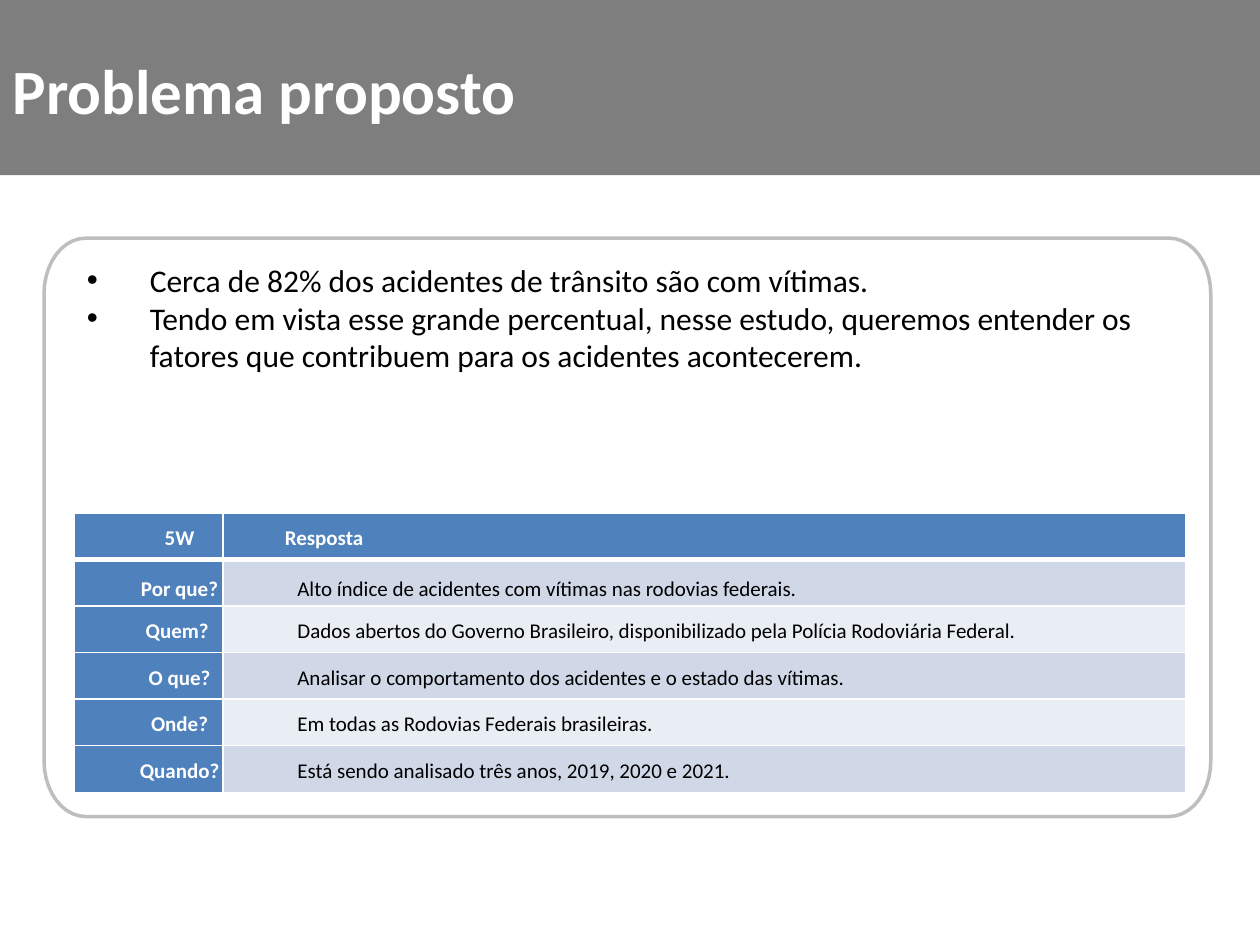
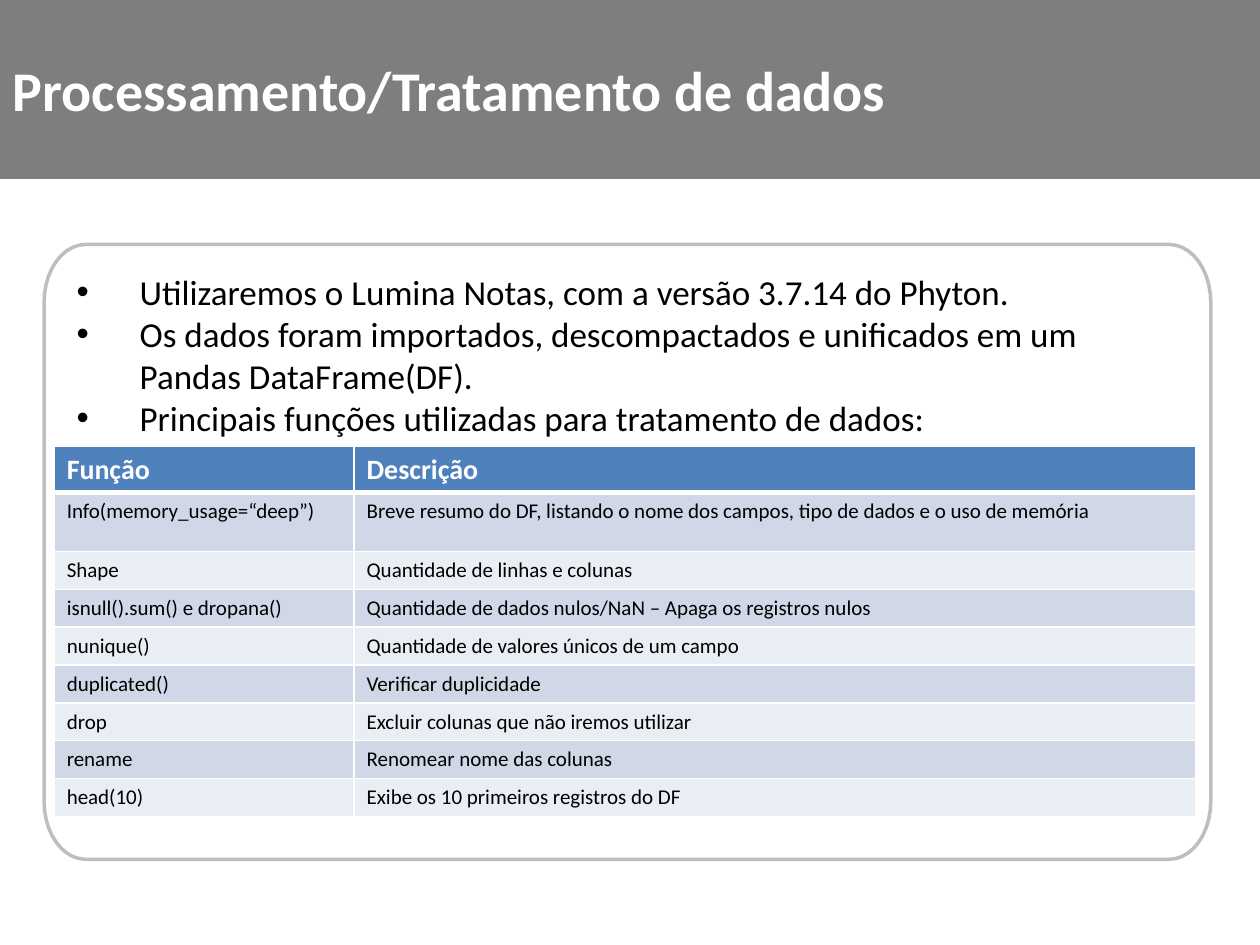
"""Builds two slides on traffic accidents: the 5W problem and the data treatment."""
from dataclasses import dataclass
from math import cos, pi, sin

from pptx import Presentation
from pptx.dml.color import RGBColor
from pptx.enum.shapes import MSO_SHAPE
from pptx.enum.text import MSO_ANCHOR, PP_ALIGN
from pptx.oxml import parse_xml
from pptx.oxml.ns import nsdecls
from pptx.util import Inches, Pt

COLOURS = {
    "band": "7E7E7E",
    "frame": "BEBEBE",
    "white": "FFFFFF",
    "black": "000000",
    "header": "4F81BD",
    "odd_row": "D0D8E8",
    "even_row": "E9EDF4",
}
FONT = "Calibri"
FRAME_LEFT, FRAME_WIDTH = 0.35, 9.26
CORNER_WIDTH, CORNER_STEPS = 0.33, 10


@dataclass(frozen=True)
class Area:
    left: float
    top: float
    width: float
    height: float

    def lengths(self):
        return [Inches(n) for n in (self.left, self.top, self.width, self.height)]


@dataclass(frozen=True)
class Grid:
    left: float
    top: float
    columns: tuple[float, ...]
    heights: tuple[float, ...]
    rows: tuple[tuple[str, str], ...]
    header_size: int
    label_column: bool = False


@dataclass(frozen=True)
class Topic:
    title: str
    title_size: int
    band_height: float
    frame_top: float
    frame_height: float
    corner_height: float
    bullets: tuple[str, ...]
    bullet_size: int
    bullet_area: Area
    grid: Grid


TOPICS = (
    Topic(
        "Problema proposto", 36, 1.39, 1.89, 4.59, 0.44,
        (
            "Cerca de 82% dos acidentes de trânsito são com vítimas.",
            "Tendo em vista esse grande percentual, nesse estudo, queremos entender "
            "os fatores que contribuem para os acidentes acontecerem.",
        ),
        18, Area(0.59, 2.02, 8.82, 1.01),
        Grid(
            0.59, 4.07, (1.18, 7.64), (0.37,) * 6,
            (
                ("5W", "Resposta"),
                ("Por que?", "Alto índice de acidentes com vítimas nas rodovias federais."),
                ("Quem? ", "Dados abertos do Governo Brasileiro, disponibilizado pela "
                           "Polícia Rodoviária Federal."),
                ("O que?", "Analisar o comportamento dos acidentes e o estado das vítimas."),
                ("Onde?", "Em todas as Rodovias Federais brasileiras."),
                ("Quando?", "Está sendo analisado três anos, 2019, 2020 e 2021."),
            ),
            12, label_column=True,
        ),
    ),
    Topic(
        "Processamento/Tratamento de dados", 32, 1.42, 1.94, 4.88, 0.46,
        (
            "Utilizaremos o Lumina Notas, com a versão 3.7.14 do Phyton.",
            "Os dados foram importados, descompactados e unificados em um "
            "Pandas DataFrame(DF).",
            "Principais funções utilizadas para tratamento de dados:",
        ),
        20, Area(0.51, 2.1, 8.98, 1.45),
        Grid(
            0.43, 3.54, (2.38, 6.68), (0.36, 0.47) + (0.3,) * 7,
            (
                ("Função", "Descrição"),
                ("Info(memory_usage=“deep”)", "Breve resumo do DF, listando o nome dos "
                                              "campos, tipo de dados e o uso de memória"),
                ("Shape", "Quantidade de linhas e colunas"),
                ("isnull().sum() e dropana()",
                 "Quantidade de dados nulos/NaN – Apaga os registros nulos"),
                ("nunique()", "Quantidade de valores únicos de um campo"),
                ("duplicated()", "Verificar duplicidade"),
                ("drop", "Excluir colunas que não iremos utilizar"),
                ("rename", "Renomear nome das colunas"),
                ("head(10)", "Exibe os 10 primeiros registros do DF"),
            ),
            16,
        ),
    ),
)


def colour(name: str) -> RGBColor:
    return RGBColor.from_string(COLOURS[name])


def format_para(para, size: int, ink: str, bold: bool = False) -> None:
    for span in para.runs:
        span.font.name = FONT
        span.font.size = Pt(size)
        span.font.bold = bold
        span.font.color.rgb = colour(ink)


def indent_para(para, margin: float, first_line: float) -> None:
    properties = para._p.get_or_add_pPr()
    properties.set("marL", str(Inches(margin)))
    properties.set("indent", str(Inches(first_line)))


def draw_title(page, topic: Topic) -> None:
    area = Area(0, 0, 10, topic.band_height)
    band = page.shapes.add_shape(MSO_SHAPE.RECTANGLE, *area.lengths())
    band.shadow.inherit = False
    band.fill.solid()
    band.fill.fore_color.rgb = colour("band")
    band.line.fill.background()

    title = page.shapes.title
    title.element.addprevious(band.element)
    title.left, title.top, title.width, title.height = Area(0, 0.02, 10, 1.37).lengths()
    title.text_frame.text = topic.title
    title.text_frame.vertical_anchor = MSO_ANCHOR.MIDDLE
    para = title.text_frame.paragraphs[0]
    para.alignment = PP_ALIGN.LEFT
    format_para(para, topic.title_size, "white", bold=True)


def draw_frame(page, topic: Topic) -> None:
    left, right = FRAME_LEFT + CORNER_WIDTH, FRAME_LEFT + FRAME_WIDTH - CORNER_WIDTH
    top = topic.frame_top + topic.corner_height
    bottom = topic.frame_top + topic.frame_height - topic.corner_height
    points = []
    for corner, (x, y) in enumerate(((left, top), (right, top), (right, bottom), (left, bottom))):
        for step in range(CORNER_STEPS + 1):
            angle = pi + (corner + step / CORNER_STEPS) * pi / 2
            points.append((Inches(x + CORNER_WIDTH * cos(angle)),
                           Inches(y + topic.corner_height * sin(angle))))
    builder = page.shapes.build_freeform(*points[0])
    builder.add_line_segments(points[1:], close=True)
    frame = builder.convert_to_shape()
    frame.shadow.inherit = False
    frame.fill.background()
    frame.line.color.rgb = colour("frame")
    frame.line.width = Pt(2)


def draw_bullets(page, topic: Topic) -> None:
    box = page.shapes.add_textbox(*topic.bullet_area.lengths())
    box.text_frame.word_wrap = True
    box.text_frame.text = "\n".join(topic.bullets)
    for para in box.text_frame.paragraphs:
        indent_para(para, 0.5, -0.5)
        properties = para._p.get_or_add_pPr()
        properties.append(parse_xml(f'<a:buFont {nsdecls("a")} typeface="Arial"/>'))
        properties.append(parse_xml(f'<a:buChar {nsdecls("a")} char="•"/>'))
        format_para(para, topic.bullet_size, "black")


def style_cell(cell, row: int, fill: str) -> None:
    widths = {"lnL": 1, "lnR": 1, "lnT": 3 if row == 1 else 1, "lnB": 3 if row == 0 else 1}
    properties = cell._tc.get_or_add_tcPr()
    for side, width in widths.items():
        properties.append(parse_xml(
            f'<a:{side} {nsdecls("a")} w="{Pt(width)}"><a:solidFill>'
            f'<a:srgbClr val="{COLOURS["white"]}"/></a:solidFill></a:{side}>'
        ))
    cell.fill.solid()
    cell.fill.fore_color.rgb = colour(fill)


def space_label_cell(cell, row: int, column: int) -> None:
    cell.margin_left = cell.margin_right = cell.margin_top = cell.margin_bottom = 0
    if row == 1:
        cell.vertical_anchor = MSO_ANCHOR.MIDDLE
    para = cell.text_frame.paragraphs[0]
    para.alignment = PP_ALIGN.LEFT if column else PP_ALIGN.CENTER
    para.line_spacing = 1.5
    para.space_before = Pt(2 if row == 0 or (row, column) == (4, 0) else 0)
    para.space_after = Pt(6 if row else 0)
    indent_para(para, 0.1 if row and column else 0, 0.49)


def draw_grid(page, grid: Grid) -> None:
    area = Area(grid.left, grid.top, sum(grid.columns), sum(grid.heights))
    table = page.shapes.add_table(len(grid.rows), len(grid.columns), *area.lengths()).table
    for column, width in enumerate(grid.columns):
        table.columns[column].width = Inches(width)
    for row, (height, texts) in enumerate(zip(grid.heights, grid.rows)):
        table.rows[row].height = Inches(height)
        for column, text in enumerate(texts):
            heading = row == 0 or (grid.label_column and column == 0)
            cell = table.cell(row, column)
            cell.text_frame.text = text
            style_cell(cell, row, "header" if heading else "odd_row" if row % 2 else "even_row")
            if grid.label_column:
                space_label_cell(cell, row, column)
            format_para(cell.text_frame.paragraphs[0], 12 if row else grid.header_size,
                        "white" if heading else "black", bold=heading)


def main() -> None:
    deck = Presentation()
    deck.slide_width, deck.slide_height = Inches(10), Inches(7.5)
    for topic in TOPICS:
        page = deck.slides.add_slide(deck.slide_layouts.get_by_name("Title Only"))
        draw_title(page, topic)
        draw_frame(page, topic)
        draw_bullets(page, topic)
        draw_grid(page, topic.grid)
    deck.save("out.pptx")


if __name__ == "__main__":
    main()
